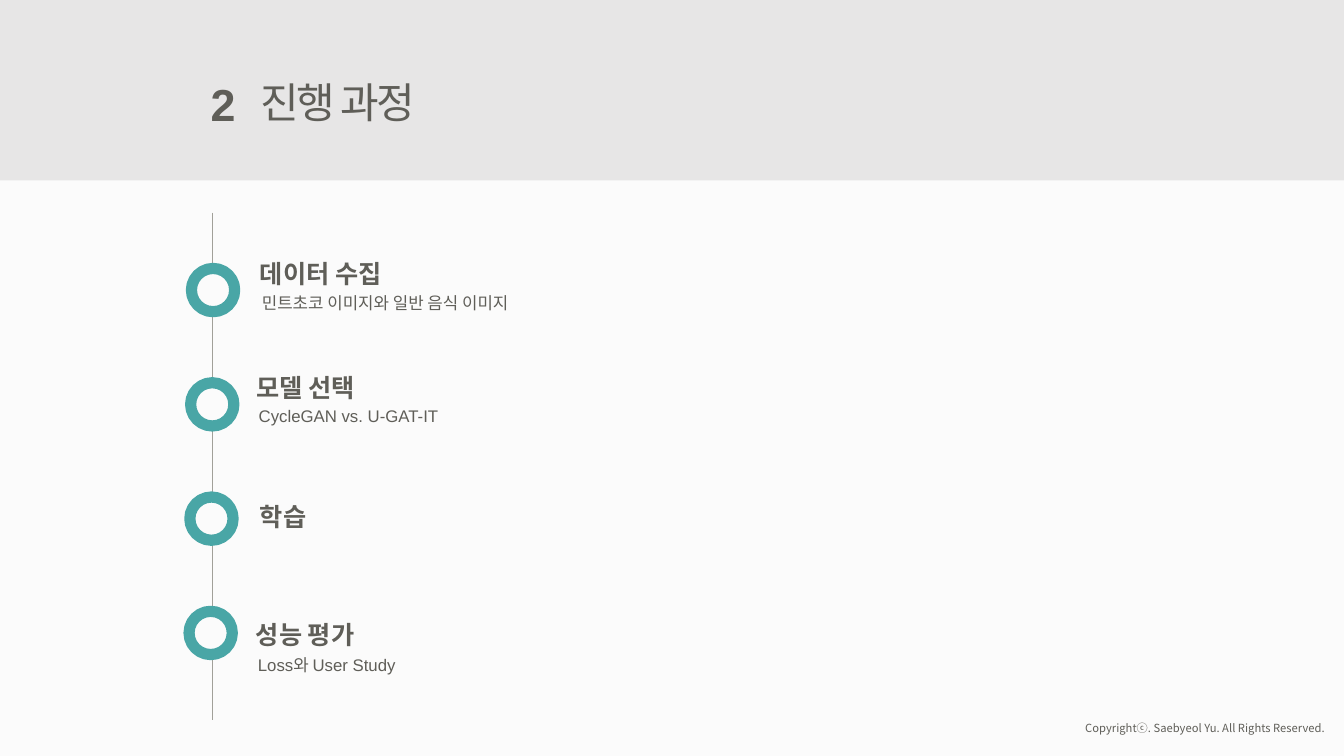
from pptx import Presentation
from pptx import util as u
from pptx.dml.color import RGBColor
from pptx.enum import shapes, text
from pptx.oxml import ns, xmlchemy

INK = {"page": "FBFBFB", "band": "E7E6E6", "text": "5F5E58",
       "line": "A1A099", "ring": "49A6A6"}
KOR = "Noto Sans CJK KR"
LEFT, RIGHT = text.PP_ALIGN.LEFT, text.PP_ALIGN.RIGHT


def hue(name):
    return RGBColor.from_string(INK[name])


def write(box, words, size=12, bold=False, font="Arial", align=LEFT,
          wrap=False, gap=0):
    """Fill a box with one styled line; gap is letter spacing in points."""
    frame = box.text_frame
    frame.word_wrap = wrap
    frame.auto_size = text.MSO_AUTO_SIZE.SHAPE_TO_FIT_TEXT
    frame.vertical_anchor = text.MSO_ANCHOR.TOP
    para = frame.paragraphs[0]
    para.alignment = align
    run = para.add_run()
    run.text = words
    run.font.size = u.Pt(size)
    run.font.bold = bold
    run.font.color.rgb = hue("text")
    run.font.name = font
    props = run.font._element
    east = xmlchemy.OxmlElement("a:ea")
    east.set("typeface", KOR)
    props.find(ns.qn("a:latin")).addnext(east)
    if gap:
        props.set("spc", str(int(gap * 100)))


class Deck:
    def __init__(self, wide, high):
        self.prs = Presentation()
        self.prs.slide_width, self.prs.slide_height = u.Cm(wide), u.Cm(high)
        self.slide = self.prs.slides.add_slide(self.prs.slide_layouts[5])
        back = self.slide.background.fill
        back.solid()
        back.fore_color.rgb = hue("page")

    def title(self, words, x, y, w, h, **style):
        box = self.slide.shapes.title
        box.left, box.top, box.width, box.height = map(u.Cm, (x, y, w, h))
        write(box, words, **style)

    def label(self, words, x, y, w, h, **style):
        box = self.slide.shapes.add_textbox(*map(u.Cm, (x, y, w, h)))
        write(box, words, **style)

    def shape(self, kind, x, y, w, h, fill, edge=None, width=0):
        item = self.slide.shapes.add_shape(kind, *map(u.Cm, (x, y, w, h)))
        item.shadow.inherit = False
        item.fill.solid()
        item.fill.fore_color.rgb = hue(fill)
        if edge:
            item.line.color.rgb = hue(edge)
            item.line.width = u.Pt(width)
        else:
            item.line.fill.background()
        return item

    def band(self, high):
        item = self.shape(shapes.MSO_SHAPE.RECTANGLE, 0, 0, 33.87, high, "band")
        tree = self.slide.shapes._spTree
        tree.remove(item._element)
        tree.insert(2, item._element)  # behind the title

    def ring(self, x, y, size):
        """Draw a ring centred on x, y."""
        self.shape(shapes.MSO_SHAPE.OVAL, x - size / 2, y - size / 2,
                   size, size, "page", "ring", 8)

    def line(self, x1, y1, x2, y2):
        item = self.slide.shapes.add_connector(
            shapes.MSO_CONNECTOR.STRAIGHT, *map(u.Cm, (x1, y1, x2, y2)))
        item.line.color.rgb = hue("line")
        item.line.width = u.Pt(0.5)
        item._element.spPr.append(xmlchemy.OxmlElement("a:effectLst"))


# heading, x, y, width; then detail, x, y, width, wrap
STEPS = [
    (("데이터 수집", 6.3, 6.38, 3.89),
     ("민트초코 이미지와 일반 음식 이미지", 6.35, 7.24, 7.42, False)),
    (("모델 선택", 6.22, 9.25, 3.25),
     ("CycleGAN vs. U-GAT-IT", 6.27, 10.11, 5.11, False)),
    (("학습", 6.3, 12.52, 1.8), None),
    (("성능 평가", 6.2, 15.47, 3.25),
     ("Loss와 User Study", 6.25, 16.38, 4.06, True)),
]


def main():
    deck = Deck(33.87, 19.05)
    deck.band(4.55)
    deck.title("진행 과정", 6.3, 1.8, 4.9, 1.55, size=30, font=KOR, gap=-1.5)
    deck.label("2", 5.05, 1.8, 1.14, 1.63, size=32, bold=True, align=RIGHT)
    deck.line(5.36, 5.36, 5.36, 18.14)
    for i, (head, note) in enumerate(STEPS):
        deck.ring(5.37 - 0.02 * i, 7.31 + 2.88 * i, 1.09)
        deck.label(*head, 1.02, size=18, bold=True)
        if note:
            *place, wrap = note
            deck.label(*place, 0.76, wrap=wrap)
    deck.label("Copyrightⓒ. Saebyeol Yu. All Rights Reserved.",
               26.97, 18.06, 6.68, 0.6, size=8, font=KOR, align=RIGHT)
    deck.prs.save("out.pptx")


if __name__ == "__main__":
    main()
